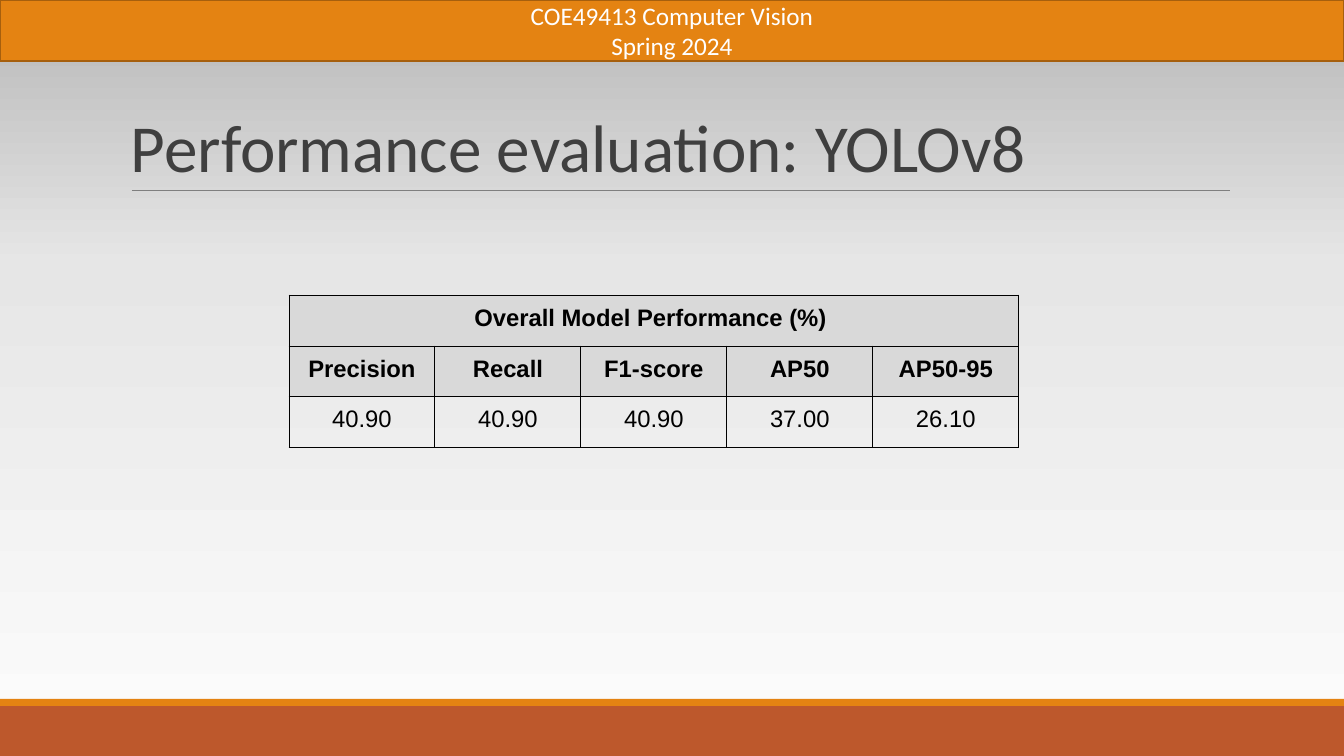
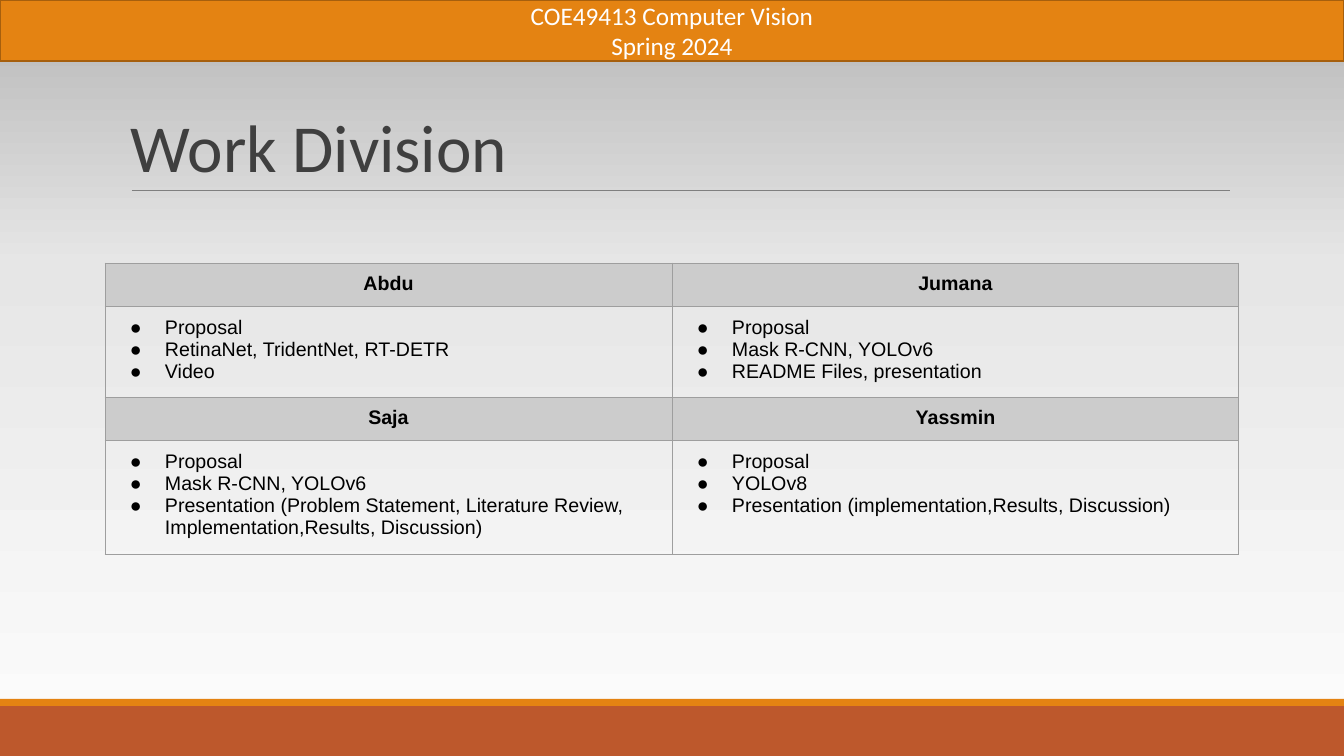
import copy

import lxml.etree
import pptx
import pptx.dml.color
import pptx.enum.shapes
import pptx.enum.text
import pptx.oxml.ns
import pptx.util

WIDTH, HEIGHT = 1344, 756
EMU_PER_PX = 914400 / 100.8
COLORS = {
    "band": "E48312", "band_line": "A65F0D", "footer": "BD582C",
    "rule": "7F7F7F", "title": "3F3F3F", "white": "FFFFFF", "black": "000000",
    "score_head": "D9D9D9", "name_head": "CCCCCC", "name_line": "9E9E9E",
}
BACKGROUND_STOPS = [(0, "FDFDFD"), (0.65, "E6E6E6"), (1, "B6B6B6")]
CENTER = pptx.enum.text.PP_ALIGN.CENTER
LEFT = pptx.enum.text.PP_ALIGN.LEFT
MIDDLE = pptx.enum.text.MSO_ANCHOR.MIDDLE
BOTTOM = pptx.enum.text.MSO_ANCHOR.BOTTOM


def px(length):
    return pptx.util.Emu(round(length * EMU_PER_PX))


def rgb(name):
    return pptx.dml.color.RGBColor.from_string(COLORS[name])


def add_element(parent, tag, **attributes):
    return lxml.etree.SubElement(parent, pptx.oxml.ns.qn(tag), attributes)


def write_lines(frame, lines, font, size, color, bold=False, align=LEFT,
                spacing=None, bulleted=False):
    frame.word_wrap = True
    for index, line in enumerate(lines):
        paragraph = frame.paragraphs[0] if index == 0 else frame.add_paragraph()
        paragraph.text = line
        paragraph.alignment = align
        if spacing:
            paragraph.line_spacing = spacing
        if bulleted:
            add_bullet(paragraph)
        paragraph.font.name = font
        paragraph.font.size = pptx.util.Pt(size)
        paragraph.font.bold = bold
        paragraph.font.color.rgb = rgb(color)


def add_bullet(paragraph):
    properties = paragraph._p.get_or_add_pPr()
    properties.set("marL", str(px(50)))
    properties.set("indent", str(px(-35)))
    bullet_color = add_element(properties, "a:buClr")
    add_element(bullet_color, "a:srgbClr", val=COLORS["black"])
    add_element(properties, "a:buFont", typeface="Arial")
    add_element(properties, "a:buChar", char="●")


# Shared slide parts
def add_background(slide):
    fill = slide.background.fill
    fill.gradient()
    fill.gradient_angle = 90
    stop_list = next(slide.element.iter(pptx.oxml.ns.qn("a:gsLst")))
    stop_list.append(copy.deepcopy(stop_list[0]))
    for stop, (position, color) in zip(fill.gradient_stops, BACKGROUND_STOPS):
        stop.position = position
        stop.color.rgb = pptx.dml.color.RGBColor.from_string(color)


def add_band(slide, top, height, color, line_color=None):
    band = slide.shapes.add_shape(pptx.enum.shapes.MSO_SHAPE.RECTANGLE,
                                  0, px(top), px(WIDTH), px(height))
    band.shadow.inherit = False
    band.fill.solid()
    band.fill.fore_color.rgb = rgb(color)
    if line_color:
        band.line.color.rgb = rgb(line_color)
        band.line.width = pptx.util.Pt(1.25)
    else:
        band.line.fill.background()
    return band


def add_title(slide, text, left, top, width, height):
    title = slide.shapes.add_textbox(px(left), px(top), px(width), px(height))
    title.text_frame.vertical_anchor = BOTTOM
    write_lines(title.text_frame, [text], "Calibri", 48, "title", spacing=0.85)


def add_rule(slide, left, top, width):
    rule = slide.shapes.add_connector(
        pptx.enum.shapes.MSO_CONNECTOR.STRAIGHT,
        px(left), px(top), px(left + width), px(top))
    rule.line.color.rgb = rgb("rule")
    rule.line.width = pptx.util.Pt(0.75)
    add_element(rule._element.spPr, "a:effectLst")


def add_base_slide(presentation, title):
    slide = presentation.slides.add_slide(presentation.slide_layouts[6])
    add_background(slide)
    add_band(slide, 706, HEIGHT - 706, "footer")
    add_band(slide, 699, 7, "band")
    add_rule(slide, 132, 191, 1098)
    header = add_band(slide, 0, 61, "band", "band_line")
    header.text_frame.vertical_anchor = MIDDLE
    write_lines(header.text_frame, ["COE49413 Computer Vision", "Spring 2024"],
                "Calibri", 18, "white", align=CENTER)
    add_title(slide, title, 121, 31, 1109, 160)
    return slide


# Tables
def add_grid(slide, left, top, column_width, columns, row_heights):
    frame = slide.shapes.add_table(
        len(row_heights), columns, px(left), px(top),
        px(column_width * columns), px(sum(row_heights)))
    table = frame.table
    table.first_row = table.horz_banding = False
    for column in table.columns:
        column.width = px(column_width)
    for row, height in zip(table.rows, row_heights):
        row.height = px(height)
    return table


def style_cell(cell, line_color, fill_color=None):
    cell.margin_left = cell.margin_right = px(10)
    cell.margin_top = cell.margin_bottom = px(10)
    properties = cell._tc.get_or_add_tcPr()
    for side in ("L", "R", "T", "B"):
        border = add_element(properties, f"a:ln{side}", w=str(pptx.util.Pt(0.75)))
        border_fill = add_element(border, "a:solidFill")
        add_element(border_fill, "a:srgbClr", val=COLORS[line_color])
    if fill_color:
        cell.fill.solid()
        cell.fill.fore_color.rgb = rgb(fill_color)
    else:
        cell.fill.background()


def add_score_table(slide, left, top, heading, scores):
    table = add_grid(slide, left, top, 146, len(scores), [51, 50, 51])
    rows = [[heading] + [""] * (len(scores) - 1), list(scores), list(scores.values())]
    for row_index, texts in enumerate(rows):
        is_head = row_index < 2
        for column_index, text in enumerate(texts):
            cell = table.cell(row_index, column_index)
            style_cell(cell, "black", "score_head" if is_head else None)
            if text:
                write_lines(cell.text_frame, [text], "Arial", 17, "black",
                            bold=is_head, align=CENTER)
    table.cell(0, 0).merge(table.cell(0, len(scores) - 1))


def add_work_table(slide, left, top, members):
    columns = 2
    table = add_grid(slide, left, top, 567, columns, [42, 86, 42, 108])
    for index, (name, tasks) in enumerate(members.items()):
        row, column = 2 * (index // columns), index % columns
        name_cell, task_cell = table.cell(row, column), table.cell(row + 1, column)
        style_cell(name_cell, "name_line", "name_head")
        write_lines(name_cell.text_frame, [name], "Arial", 14, "black",
                    bold=True, align=CENTER)
        style_cell(task_cell, "name_line")
        write_lines(task_cell.text_frame, tasks, "Arial", 14, "black", bulleted=True)


# Slides
def build_performance_slide(presentation):
    slide = add_base_slide(presentation, "Performance evaluation: YOLOv8")
    add_score_table(slide, 289, 295, "Overall Model Performance (%) ", {
        "Precision": "40.90", "Recall": "40.90", "F1-score": "40.90",
        "AP50": "37.00", "AP50-95": "26.10",
    })


def build_work_slide(presentation):
    slide = add_base_slide(presentation, "Work Division")
    add_work_table(slide, 105, 263, {
        "Abdu": ["Proposal", "RetinaNet, TridentNet, RT-DETR", "Video"],
        "Jumana": ["Proposal", "Mask R-CNN, YOLOv6", "README Files, presentation"],
        "Saja": ["Proposal", "Mask R-CNN, YOLOv6",
                 "Presentation (Problem Statement, Literature Review, "
                 "Implementation,Results, Discussion)"],
        "Yassmin": ["Proposal", "YOLOv8",
                    "Presentation (implementation,Results, Discussion)"],
    })


def main():
    presentation = pptx.Presentation()
    presentation.slide_width, presentation.slide_height = px(WIDTH), px(HEIGHT)
    build_performance_slide(presentation)
    build_work_slide(presentation)
    presentation.save("out.pptx")


if __name__ == "__main__":
    main()
